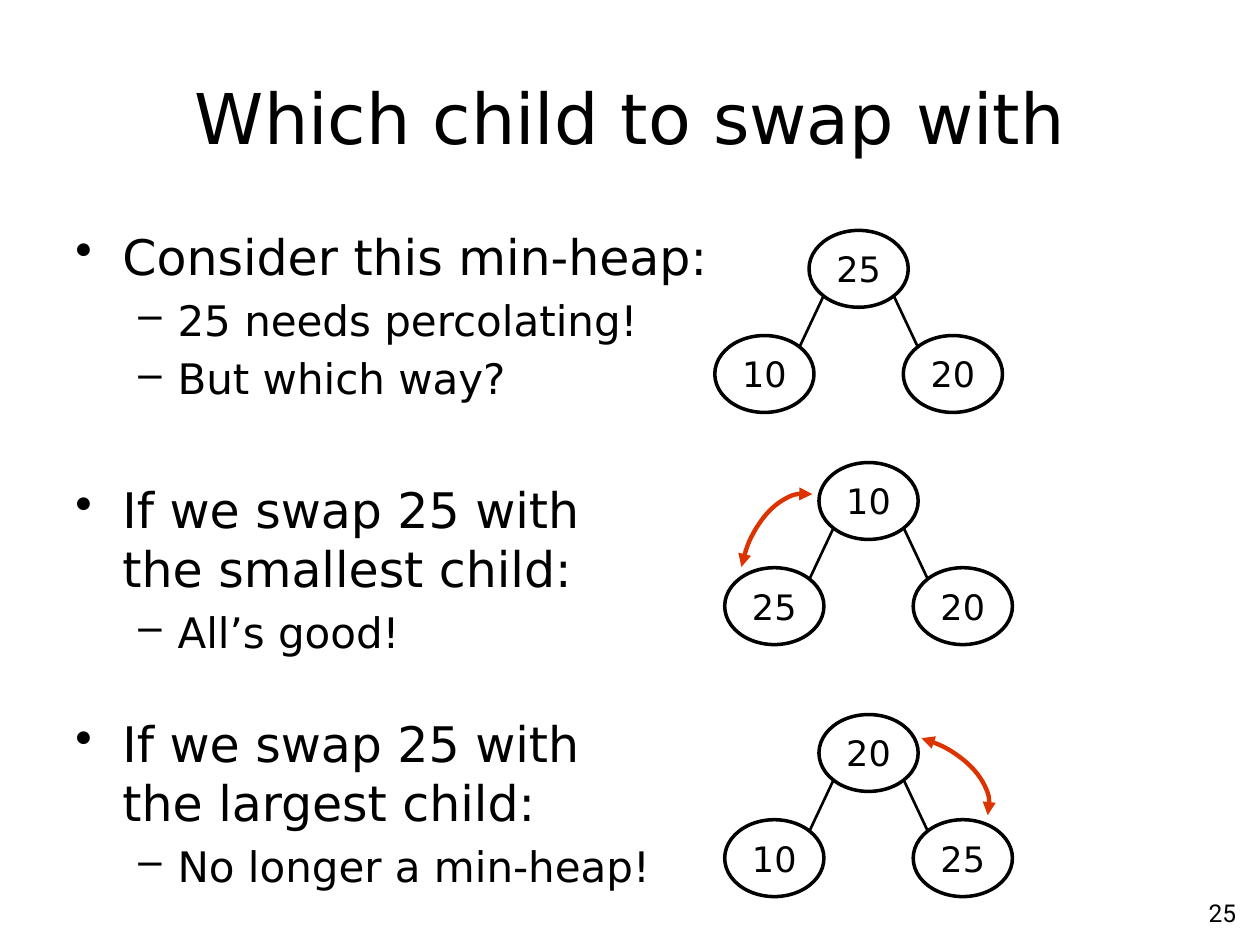
import pptx
import pptx.util
import pptx.dml.color
import pptx.enum.shapes
import pptx.enum.text
import pptx.oxml.ns
from lxml import etree

Cm, Pt = pptx.util.Cm, pptx.util.Pt
SHAPE = pptx.enum.shapes.MSO_SHAPE
ALIGN = pptx.enum.text.PP_ALIGN
ANCHOR = pptx.enum.text.MSO_ANCHOR
qn = pptx.oxml.ns.qn

COLORS = {"ink": "000000", "node": "FFFFFF", "swap": "DD3300"}

# Per outline level: bullet, text size, left margin and hanging indent in cm
LEVELS = [("•", 28, 0.95, 0.95), ("–", 24, 2.06, 0.79)]

# Level, text, space before in points
OUTLINE = [
    (0, "Consider this min-heap:", 5.6),
    (1, "25 needs percolating!", 4.8),
    (1, "But which way?", 4.8),
    (0, "If we swap 25 with \vthe smallest child:", 43.8),
    (1, "All’s good!", 4.8),
    (0, "If we swap 25 with \vthe largest child:", 32.9),
    (1, "No longer a min-heap!", 4.8),
]

# Centre of the root, then root, left child and right child
HEAPS = [
    (17.31, 5.42, ("25", "10", "20")),
    (17.51, 10.1, ("10", "25", "20")),
    (17.51, 15.18, ("20", "10", "25")),
]

# Centre and rotation of each swap arrow
SWAPS = [(16.03, 11.65, 281.6), (18.26, 15.94, 16.6)]


def rgb(name):
    return pptx.dml.color.RGBColor.from_string(COLORS[name])


class HeapSlide:
    font = "DejaVu Sans"
    node_size = (2.0, 1.55)
    child_offset = (1.9, 2.12)
    swap_size = (3.45, 2.21)

    def __init__(self, slide):
        self.slide = slide

    def style(self, paragraph, size, align=None, font=None):
        paragraph.alignment = align
        for run in paragraph.runs:
            run.font.name = font or self.font
            run.font.size = Pt(size)
            run.font.color.rgb = rgb("ink")

    def title(self, text, left, top, width, height):
        heading = self.slide.shapes.title
        heading.left, heading.top = Cm(left), Cm(top)
        heading.width, heading.height = Cm(width), Cm(height)
        frame = heading.text_frame
        frame.text = text
        frame.vertical_anchor = ANCHOR.MIDDLE
        self.style(frame.paragraphs[0], 40, ALIGN.CENTER)

    def text_box(self, left, top, width, height):
        frame = self.slide.shapes.add_textbox(
            Cm(left), Cm(top), Cm(width), Cm(height)).text_frame
        frame.word_wrap = True
        return frame

    def outline(self, entries, left, top, width, height):
        frame = self.text_box(left, top, width, height)
        for index, (level, text, space) in enumerate(entries):
            entry = frame.add_paragraph() if index else frame.paragraphs[0]
            bullet, size, margin, hang = LEVELS[level]
            entry.text = text
            entry.level = level
            entry.space_before = Pt(space)
            self.style(entry, size, ALIGN.LEFT)
            props = entry._p.get_or_add_pPr()
            props.set("marL", str(Cm(margin)))
            props.set("indent", str(-Cm(hang)))
            etree.SubElement(props, qn("a:buChar")).set("char", bullet)

    def page_number(self, text, left, top, width, height):
        frame = self.text_box(left, top, width, height)
        frame.text = text
        self.style(frame.paragraphs[0], 14, ALIGN.RIGHT, "Roboto")

    def node(self, group, value, x, y):
        """Add a heap node centred on x, y."""
        width, height = self.node_size
        oval = group.shapes.add_shape(
            SHAPE.OVAL, Cm(x - width / 2), Cm(y - height / 2), Cm(width), Cm(height))
        oval.shadow.inherit = False
        oval.fill.solid()
        oval.fill.fore_color.rgb = rgb("node")
        oval.line.color.rgb = rgb("ink")
        oval.line.width = Pt(2)
        frame = oval.text_frame
        frame.text = value
        frame.word_wrap = False
        frame.vertical_anchor = ANCHOR.MIDDLE
        self.style(frame.paragraphs[0], 20, ALIGN.CENTER)

    def edge(self, group, x1, y1, x2, y2):
        line = group.shapes.add_connector(
            pptx.enum.shapes.MSO_CONNECTOR.STRAIGHT, Cm(x1), Cm(y1), Cm(x2), Cm(y2))
        line.line.color.rgb = rgb("ink")
        line.line.width = Pt(1.5)
        etree.SubElement(line._element.spPr, qn("a:effectLst"))

    def heap(self, x, y, values):
        group = self.slide.shapes.add_group_shape()
        root, *children = values
        dx, dy = self.child_offset
        self.node(group, root, x, y)
        for side, child in zip((-1, 1), children):
            self.node(group, child, x + side * dx, y + dy)
            self.edge(group, x + side * 0.72, y + 0.57, x + side * 1.2, y + 1.59)

    def swap(self, x, y, rotation):
        """Add a two-headed arc centred on x, y."""
        width, height = self.swap_size
        arc = self.slide.shapes.add_shape(
            SHAPE.ARC, Cm(x - width / 2), Cm(y - height / 2), Cm(width), Cm(height))
        arc.rotation = rotation
        arc.shadow.inherit = False
        arc.fill.background()
        arc.line.color.rgb = rgb("swap")
        arc.line.width = Pt(2.5)
        for end in ("a:headEnd", "a:tailEnd"):
            etree.SubElement(arc.line._get_or_add_ln(), qn(end)).set("type", "triangle")


def main():
    deck = pptx.Presentation()
    deck.slide_width, deck.slide_height = Cm(25.4), Cm(19.05)
    page = HeapSlide(deck.slides.add_slide(deck.slide_layouts[5]))
    page.page_number("25", 19.89, 17.98, 5.28, 0.94)
    page.title("Which child to swap with", 1.27, 0.76, 22.86, 3.18)
    page.outline(OUTLINE, 1.27, 4.45, 22.86, 12.57)
    for x, y, values in HEAPS:
        page.heap(x, y, values)
    for x, y, rotation in SWAPS:
        page.swap(x, y, rotation)
    deck.save("out.pptx")


if __name__ == "__main__":
    main()
